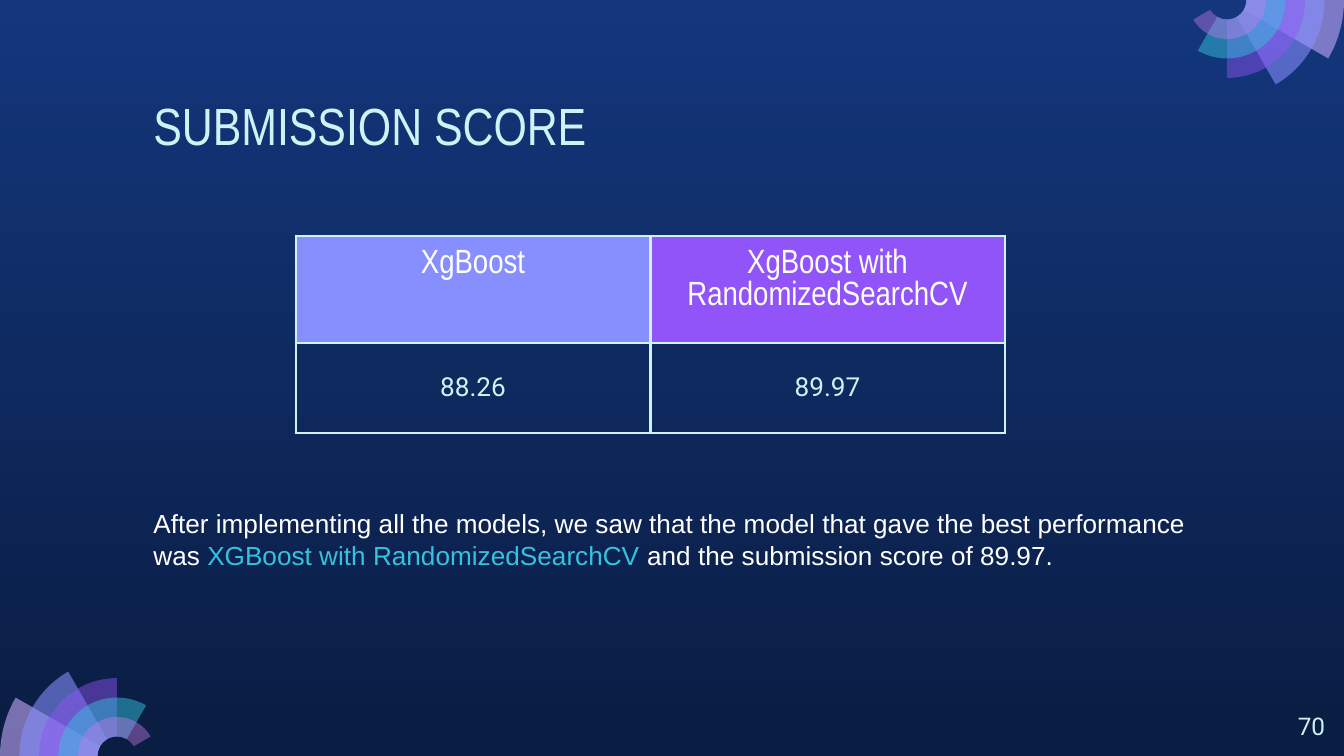
from math import ceil, cos, pi, sin, tan
from typing import NamedTuple

from lxml.etree import SubElement
from pptx import Presentation
from pptx.dml.color import RGBColor as RGB
from pptx.enum.text import MSO_ANCHOR as Anchor, PP_ALIGN as Align
from pptx.oxml import parse_xml
from pptx.oxml.ns import nsdecls, qn
from pptx.util import Cm, Pt

COLORS = {
    "top": "13367C", "bottom": "0A1D42", "ice": "CEF3F5", "white": "FFFFFF",
    "lilac": "C8ACFD", "periwinkle": "878FFF", "violet": "9154F8",
    "cyan": "35C2DF", "orchid": "CA7BEB",
}
WIDTH, HEIGHT = 25.4, 14.29
RING = 2.21 / 6  # each petal is one ring narrower than the one before
INSET = Cm(0.25)


class Petal(NamedTuple):
    color: str
    opacity: int


class Run(NamedTuple):
    text: str
    size: float
    font: str
    color: str


class TextBox(NamedTuple):
    left: float
    top: float
    width: float
    height: float
    runs: list[Run]
    align: Align = Align.LEFT


class Cell(NamedTuple):
    run: Run
    fill: str | None
    anchor: Anchor


class Row(NamedTuple):
    height: float
    cells: list[Cell]


PETALS = [
    Petal("lilac", 58), Petal("periwinkle", 58), Petal("violet", 46),
    Petal("cyan", 49), Petal("orchid", 42),
]


def rgb(name: str) -> RGB:
    return RGB.from_string(COLORS[name])


def arc(cx: float, cy: float, radius: float, start: float, sweep: float) -> list[tuple[int, int]]:
    """Return Bezier points of an arc, cut at each quarter turn from its start."""
    points = [(1, 0, start)]
    for i in range(ceil(sweep / (pi / 2) - 0.01)):
        a = start + i * pi / 2
        b = min(a + pi / 2, start + sweep)
        pull = 4 / 3 * tan((b - a) / 4)
        points += [(1, pull, a), (1, -pull, b), (1, 0, b)]
    return [(Cm(cx + radius * (u * cos(a) - v * sin(a))),
             Cm(cy + radius * (u * sin(a) + v * cos(a)))) for u, v, a in points]


def curve_lines(sp, first: int, count: int) -> None:
    """Turn each three line segments of a freeform into one Bezier curve."""
    lines = list(sp._element.iter(qn("a:lnTo")))[first:first + count]
    for i in range(0, count, 3):
        curve = parse_xml(f'<a:cubicBezTo {nsdecls("a")}/>')
        lines[i].addprevious(curve)
        for line in lines[i:i + 3]:
            curve.append(line[0])
            line.getparent().remove(line)


def draw_fan(slide, cx: float, cy: float, start: float) -> None:
    """Draw ring sectors that shrink by one ring and open 30 degrees wider each."""
    group = slide.shapes.add_group_shape()
    for i, petal in enumerate(PETALS):
        sweep = (i + 1) * pi / 6
        outer = arc(cx, cy, RING * (6 - i), start, sweep)
        inner = arc(cx, cy, RING, start, sweep)[::-1]
        builder = group.shapes.build_freeform(*outer[0])
        builder.add_line_segments(outer[1:] + inner, close=True)
        sp = builder.convert_to_shape()
        count = len(outer) - 1
        curve_lines(sp, count + 1, count)
        curve_lines(sp, 0, count)
        sp.shadow.inherit = False
        sp.line.fill.background()
        sp.fill.solid()
        sp.fill.fore_color.rgb = rgb(petal.color)
        color = sp._element.spPr.find(f"{qn('a:solidFill')}/{qn('a:srgbClr')}")
        SubElement(color, qn("a:alpha"), val=str(petal.opacity * 1000))


def add_run(p, run: Run) -> None:
    r = p.add_run()
    r.text = run.text
    r.font.size = Pt(run.size)
    r.font.name = run.font
    r.font.color.rgb = rgb(run.color)


def draw_text(slide, box: TextBox) -> None:
    sp = slide.shapes.add_textbox(Cm(box.left), Cm(box.top), Cm(box.width), Cm(box.height))
    tf = sp.text_frame
    tf.word_wrap = True
    tf.margin_left = tf.margin_right = tf.margin_top = tf.margin_bottom = INSET
    p = tf.paragraphs[0]
    p.alignment = box.align
    for run in box.runs:
        add_run(p, run)


def add_borders(cell) -> None:
    tc_pr = cell._tc.get_or_add_tcPr()
    for i, side in enumerate(("lnL", "lnR", "lnT", "lnB")):
        tc_pr.insert(i, parse_xml(
            f'<a:{side} {nsdecls("a")} w="{Pt(1.5)}"><a:solidFill>'
            f'<a:srgbClr val="{COLORS["ice"]}"/></a:solidFill></a:{side}>'))


def draw_table(slide, rows: list[Row]) -> None:
    n_cols = len(rows[0].cells)
    table = slide.shapes.add_table(
        len(rows), n_cols, Cm(5.59), Cm(4.46),
        Cm(6.7 * n_cols), Cm(sum(row.height for row in rows))).table
    table.first_row = table.horz_banding = False
    for i, row in enumerate(rows):
        table.rows[i].height = Cm(row.height)
        for j, item in enumerate(row.cells):
            cell = table.cell(i, j)
            cell.margin_left = cell.margin_right = INSET
            cell.margin_top = cell.margin_bottom = INSET
            cell.vertical_anchor = item.anchor
            if item.fill:
                cell.fill.solid()
                cell.fill.fore_color.rgb = rgb(item.fill)
            else:
                cell.fill.background()
            add_borders(cell)
            p = cell.text_frame.paragraphs[0]
            p.alignment = Align.CENTER
            add_run(p, item.run)


def header(text: str, fill: str) -> Cell:
    return Cell(Run(text, 18, "Arial Narrow", "white"), fill, Anchor.TOP)


def score(text: str) -> Cell:
    return Cell(Run(text, 14, "Roboto", "ice"), None, Anchor.MIDDLE)


def paint_background(slide) -> None:
    fill = slide.background.fill
    fill.gradient()
    fill.gradient_angle = 270
    for stop, position, name in zip(fill.gradient_stops, (0, 1), ("top", "bottom")):
        stop.position = position
        stop.color.rgb = rgb(name)


def main() -> None:
    prs = Presentation()
    prs.slide_width, prs.slide_height = Cm(WIDTH), Cm(HEIGHT)
    slide = prs.slides.add_slide(prs.slide_layouts[6])
    paint_background(slide)
    draw_fan(slide, RING * 6, HEIGHT, pi)
    draw_fan(slide, WIDTH - RING * 6, 0, 0)
    draw_text(slide, TextBox(2.65, 1.51, 21.41, 1.6, [
        Run("SUBMISSION SCORE", 28, "Arial Narrow", "ice")]))
    draw_table(slide, [
        Row(1.17, [header("XgBoost", "periwinkle"),
                   header("XgBoost with RandomizedSearchCV", "violet")]),
        Row(1.7, [score("88.26"), score("89.97")]),
    ])
    draw_text(slide, TextBox(23.77, 13.19, 1.52, 1.09, [
        Run("70", 13, "Roboto", "ice")], Align.RIGHT))
    draw_text(slide, TextBox(2.65, 9.35, 20.12, 1.7, [
        Run("After implementing all the models, we saw that the model that gave "
            "the best performance was ", 14, "Arial", "white"),
        Run("XGBoost with RandomizedSearchCV", 14, "Arial", "cyan"),
        Run(" and the submission score of 89.97.", 14, "Arial", "white"),
    ]))
    prs.save("out.pptx")


if __name__ == "__main__":
    main()
